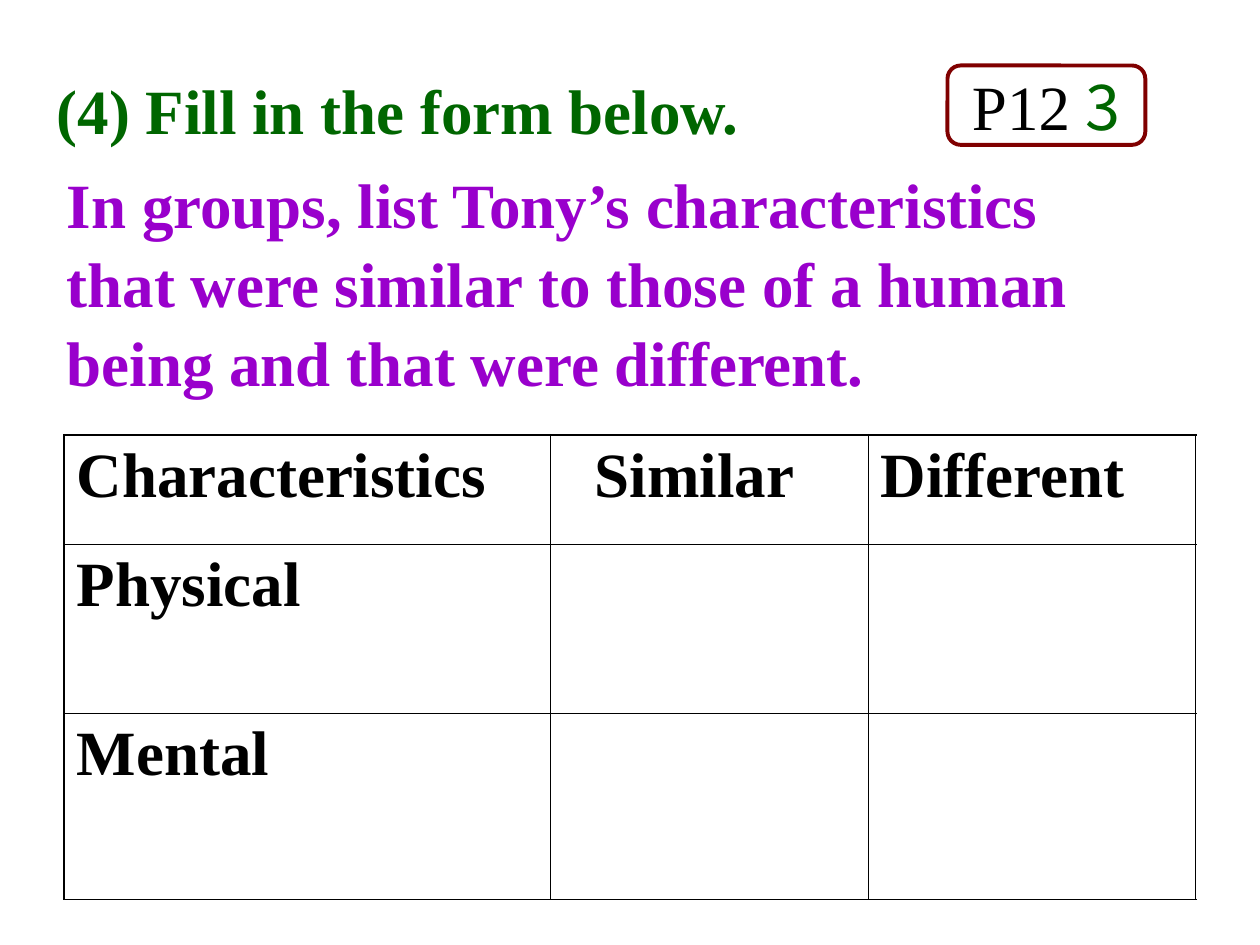
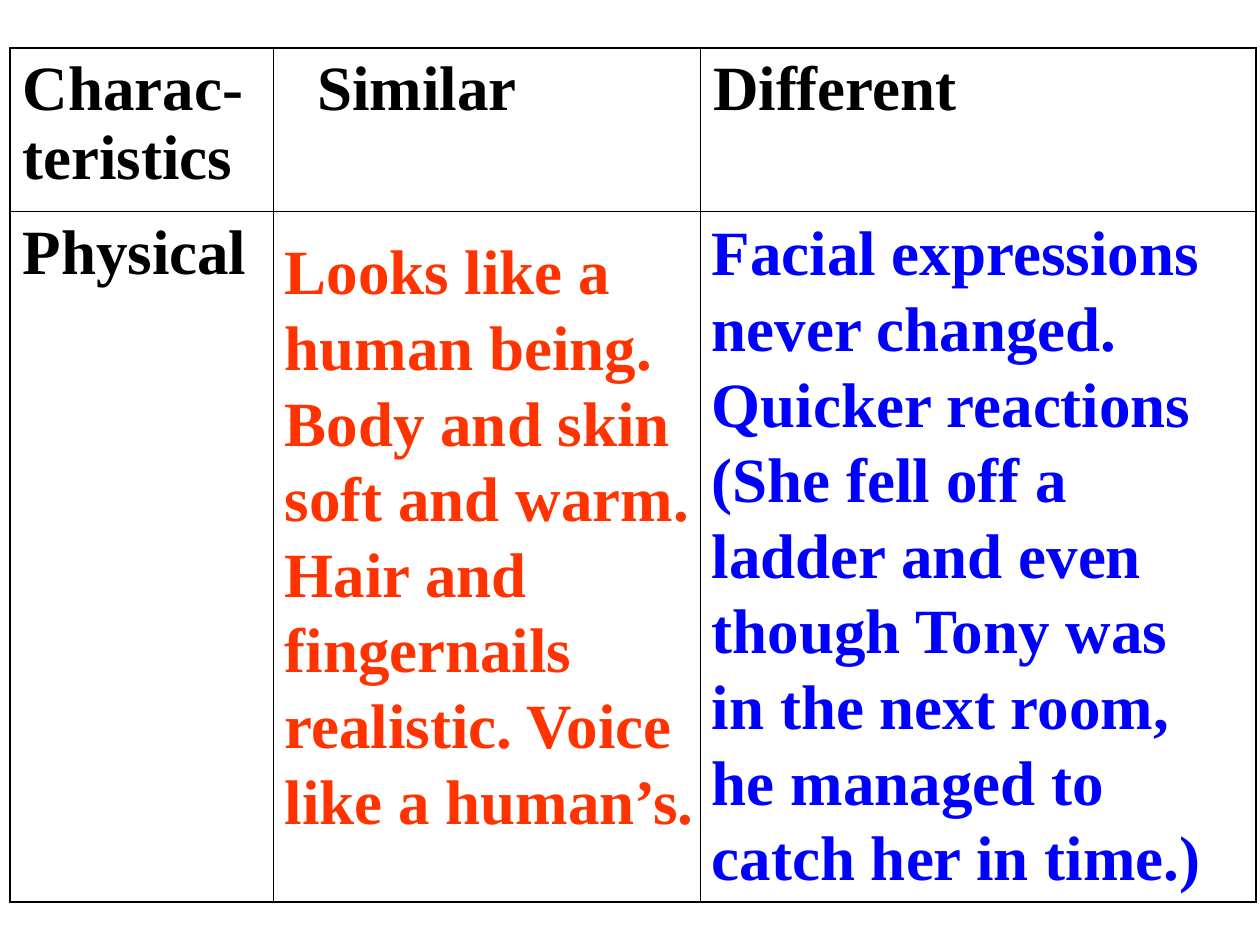
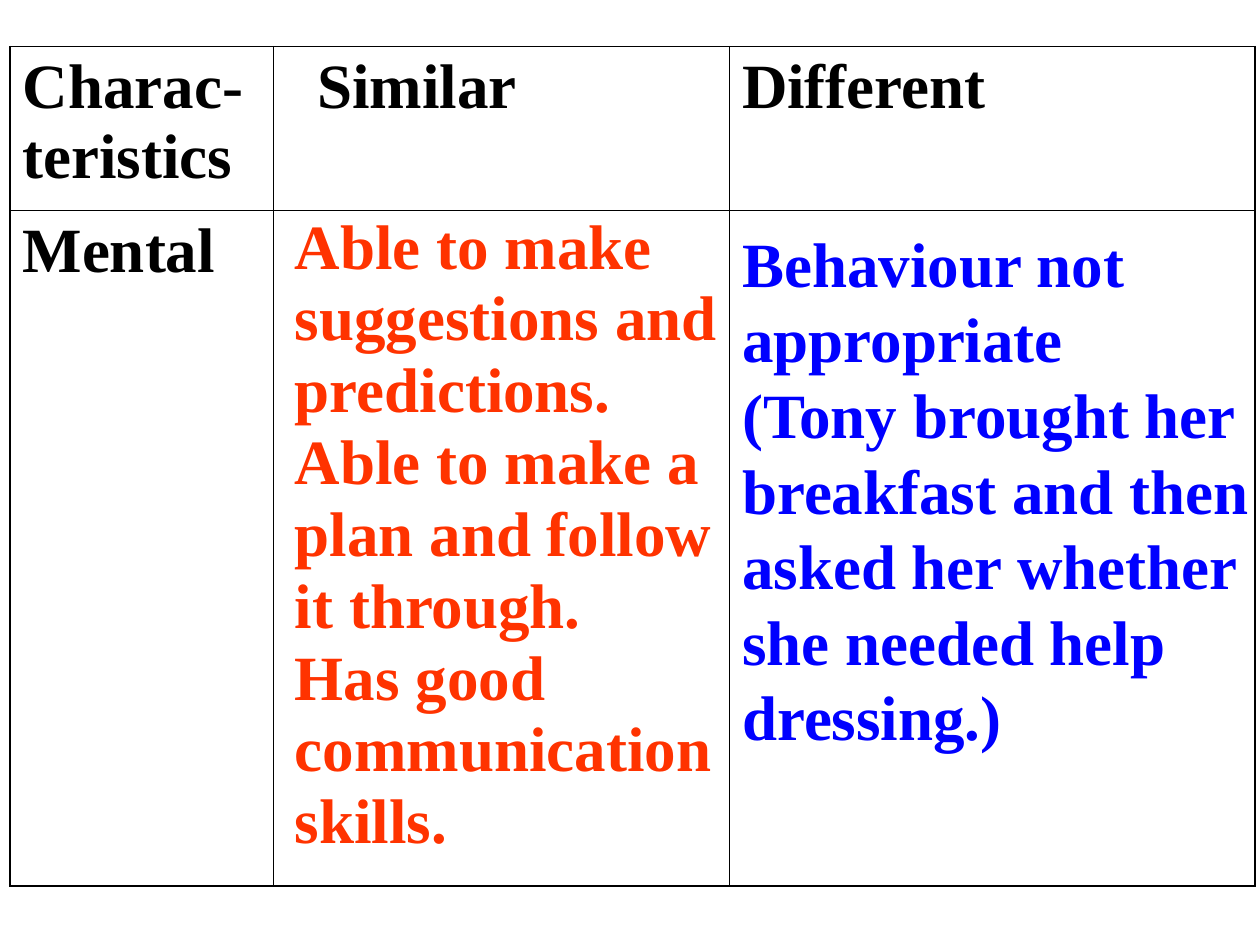
from lxml.etree import SubElement
from pptx import Presentation
from pptx.dml.color import RGBColor
from pptx.enum.shapes import MSO_SHAPE
from pptx.enum.text import MSO_ANCHOR, MSO_AUTO_SIZE, PP_ALIGN
from pptx.oxml.ns import qn
from pptx.util import Inches, Pt

COLUMNS, ROWS = 100, 75
TITLE_AND_BODY, TWO_BODIES = 1, 3
BLACK, GREEN, PURPLE = "000000", "006600", "9900CC"
MAROON, ORANGE, BLUE = "800000", "FF3300", "0000FF"
OUTER, INNER = 1.08, 0.45


def color(code):
    return RGBColor.from_string(code)


def write(para, text, font="Times New Roman", size=36, ink=BLACK, bold=True):
    span = para.add_run()
    span.text = text
    span.font.name = font
    span.font.size = Pt(size)
    span.font.bold = bold
    span.font.color.rgb = color(ink)


def draw_border(cell, side, width):
    properties = cell._tc.get_or_add_tcPr()
    line = SubElement(properties, qn(f"a:ln{side}"), w=str(Pt(width)))
    fill = SubElement(line, qn("a:solidFill"))
    SubElement(fill, qn("a:srgbClr"), val=BLACK)


class Lesson:
    def __init__(self):
        self.deck = Presentation()
        self.deck.slide_width = Inches(10)
        self.deck.slide_height = Inches(7.5)
        self.page = None

    def across(self, columns):
        return round(self.deck.slide_width * columns / COLUMNS)

    def down(self, rows):
        return round(self.deck.slide_height * rows / ROWS)

    def place(self, left, top, width, height):
        return self.across(left), self.down(top), self.across(width), self.down(height)

    def add_page(self, layout):
        self.page = self.deck.slides.add_slide(self.deck.slide_layouts[layout])

    def drop_title(self):
        title = self.page.shapes.title.element
        title.getparent().remove(title)

    def fill_placeholder(self, index, place, lines, ink, spacing=1.0):
        box = self.page.placeholders[index]
        box.left, box.top, box.width, box.height = self.place(*place)
        frame = box.text_frame
        frame.word_wrap = True
        frame.auto_size = MSO_AUTO_SIZE.NONE
        frame.vertical_anchor = MSO_ANCHOR.TOP
        for number, text in enumerate(lines):
            para = frame.add_paragraph() if number else frame.paragraphs[0]
            properties = para._p.get_or_add_pPr()
            properties.set("marL", "0")
            properties.set("indent", "0")
            para.alignment = PP_ALIGN.LEFT
            para.line_spacing = spacing
            para.space_before = Pt(0)
            SubElement(properties, qn("a:buNone"))
            write(para, text, ink=ink)

    def add_label(self, place, spans):
        box = self.page.shapes.add_shape(MSO_SHAPE.ROUNDED_RECTANGLE, *self.place(*place))
        box.shadow.inherit = False
        box.fill.background()
        box.line.color.rgb = color(MAROON)
        box.line.width = Pt(2.25)
        frame = box.text_frame
        frame.word_wrap = False
        frame.vertical_anchor = MSO_ANCHOR.MIDDLE
        para = frame.paragraphs[0]
        para.alignment = PP_ALIGN.CENTER
        for text, style in spans:
            write(para, text, bold=False, **style)

    def add_form(self, left, top, widths, heights, first_heading, row_names):
        place = self.place(left, top, sum(widths), sum(heights))
        frame = self.page.shapes.add_table(len(heights), len(widths), *place)
        table = frame.table
        table.first_row = table.horz_banding = False
        for column, width in zip(table.columns, widths):
            column.width = self.across(width)
        for row, height in zip(table.rows, heights):
            row.height = self.down(height)
        texts = [[first_heading, "Similar", "Different"]]
        texts += [[name, "", ""] for name in row_names]
        last_row, last_column = len(heights) - 1, len(widths) - 1
        for i, row in enumerate(texts):
            for j, text in enumerate(row):
                cell = table.cell(i, j)
                cell.margin_left = self.across(3.5 if text == "Similar" else 1)
                edges = {"L": j == 0, "R": j == last_column, "T": i == 0, "B": i == last_row}
                for side, is_outer in edges.items():
                    draw_border(cell, side, OUTER if is_outer else INNER)
                cell.fill.background()
                if text:
                    write(cell.text_frame.paragraphs[0], text)

    def add_answers(self, row_name, top, widths, heights, similar, different):
        self.add_page(TWO_BODIES)
        self.drop_title()
        self.add_form(0.8, top, widths, heights, "Charac-teristics", [row_name])
        self.fill_placeholder(1, ink=ORANGE, **similar)
        self.fill_placeholder(2, ink=BLUE, **different)


def main():
    lesson = Lesson()

    lesson.add_page(TITLE_AND_BODY)
    lesson.fill_placeholder(0, (3.5, 5.2, 59.1, 7), ["(4) Fill in the form below."], GREEN)
    lesson.fill_placeholder(1, (4.3, 12.3, 91.5, 19.9), [
        "In groups, list Tony’s characteristics",
        "that were similar to those of a human being and that were different.",
    ], PURPLE, spacing=1.05)
    lesson.add_form(5.1, 34.5, (38.6, 25.2, 26), (8.7, 13.4, 14.8),
                    "Characteristics", ["Physical", "Mental"])
    lesson.add_label((75.2, 5.2, 15.7, 6.3), [
        ("P12 ", {}),
        ("3", {"font": "Noto Sans CJK JP", "ink": GREEN}),
    ])

    lesson.add_answers(
        "Physical", 3.8, (20.9, 33.9, 44.1), (13, 54.8),
        similar={"place": (21.6, 17.9, 36.2, 49), "lines": [
            "Looks like a",
            "human being. Body and skin soft and warm. Hair and fingernails realistic. Voice",
            "like a human’s.",
        ]},
        different={"place": (55.5, 16.4, 44.5, 55), "lines": [
            "Facial expressions",
            "never changed.",
            "Quicker reactions (She fell off a ladder and even",
            "though Tony was",
            "in the next room,",
            "he managed to catch her in time.)",
        ]})

    lesson.add_answers(
        "Mental", 3.7, (20.9, 36.2, 41.7), (13, 53.6),
        similar={"place": (22.4, 16.3, 36.2, 52.3), "spacing": 0.95, "lines": [
            "Able to make suggestions and predictions. Able to make a plan and follow it through.",
            "Has good communication skills.",
        ]},
        different={"place": (57.9, 17.3, 46.6, 43), "lines": [
            "Behaviour not appropriate",
            "(Tony brought her",
            "breakfast and then",
            "asked her whether",
            "she needed help",
            "dressing.)",
        ]})

    lesson.deck.save("out.pptx")


if __name__ == "__main__":
    main()
